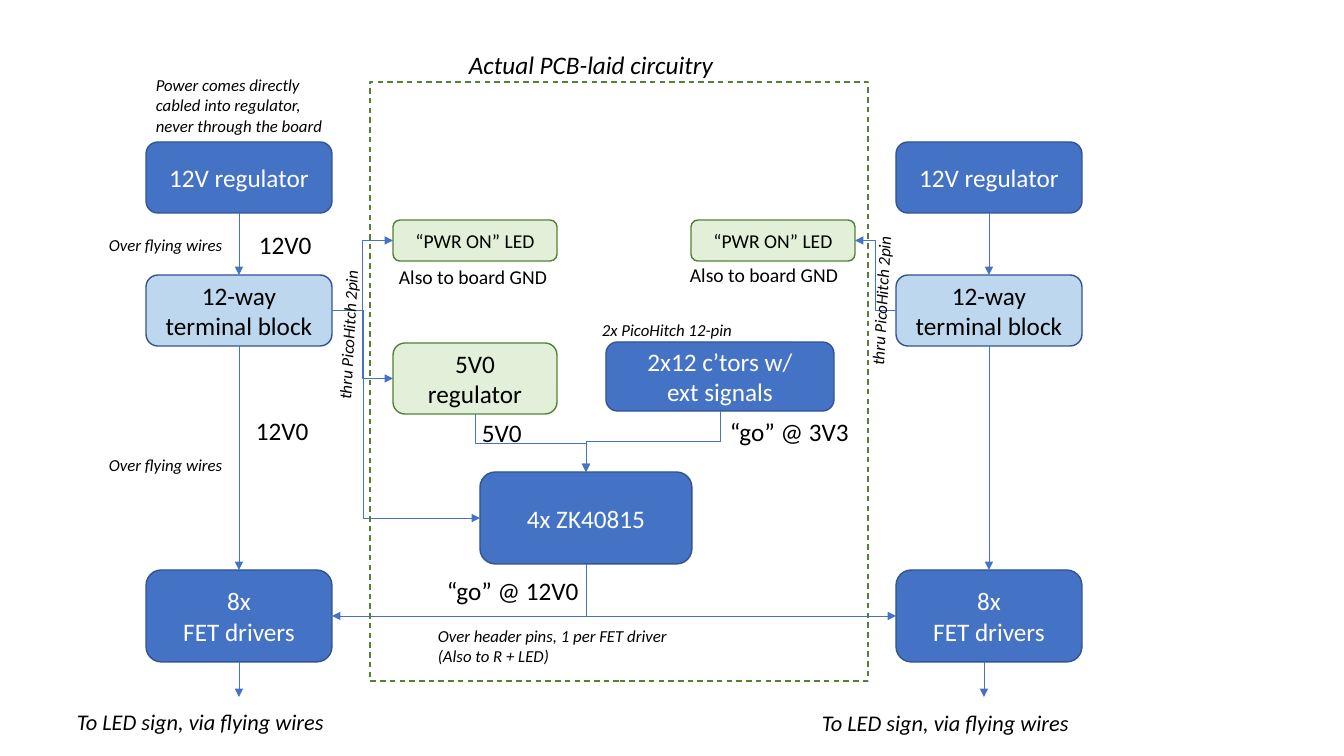
"""Build the block diagram of the LED sign power and driver circuitry."""
from lxml.etree import SubElement
from pptx import Presentation
from pptx.dml.color import RGBColor
from pptx.enum.dml import MSO_LINE
from pptx.enum.shapes import MSO_CONNECTOR as LINK, MSO_SHAPE as SHAPE
from pptx.enum.text import MSO_ANCHOR, MSO_AUTO_SIZE, PP_ALIGN
from pptx.oxml.ns import qn
from pptx.util import Pt

SCALE = 914400 / 100.8
FONT, BLACK, ARROW = "Calibri", "000000", "4472C4"
STYLES = {
    "blue": ("4472C4", "325491", "FFFFFF"),
    "pale": ("BDD7EE", "325491", BLACK),
    "green": ("E2F0D9", "548235", BLACK),
}
BOARD = (370, 82, 498, 599)
BLOCKS = {
    "left supply": ("12V regulator", "blue", 18, (146, 142, 186, 71)),
    "right supply": ("12V regulator", "blue", 18, (896, 142, 186, 71)),
    "left terminal": ("12-way terminal block", "pale", 18, (146, 275, 186, 71)),
    "right terminal": ("12-way terminal block", "pale", 18, (896, 275, 186, 71)),
    "left LED": ("“PWR ON” LED", "green", 14, (393, 220, 164, 41)),
    "right LED": ("“PWR ON” LED", "green", 14, (691, 220, 164, 41)),
    "5V0": ("5V0 regulator", "green", 18, (393, 343, 164, 71)),
    "signals": ("2x12 c’tors w/\next signals", "blue", 18, (606, 342, 228, 69)),
    "driver": ("4x ZK40815", "blue", 18, (480, 472, 212, 92)),
    "left FET": ("8x\nFET drivers", "blue", 18, (146, 570, 186, 92)),
    "right FET": ("8x\nFET drivers", "blue", 18, (896, 570, 186, 92)),
}
WIRES = [
    ("left supply", "left terminal"),
    ("right supply", "right terminal"),
    ("left terminal", "left FET"),
    ("right terminal", "right FET"),
]
SIGN_FEEDS = [(239, 662), (984, 662)]
FEED_LENGTH = 35
SIDEWAYS = [
    ("left terminal", "right", "left LED", "left", 0.5),
    ("right terminal", "left", "right LED", "right", 0.5),
    ("left terminal", "right", "5V0", "left", 0.5),
    ("left terminal", "right", "driver", "left", 0.21),
]
DOWNWARD = [
    ("5V0", "driver", "top"),
    ("signals", "driver", "top"),
    ("driver", "left FET", "right"),
    ("driver", "right FET", "left"),
]
VOLTAGES = [
    ("12V0", (246, 410, 74, 40)),
    ("5V0", (472, 412, 60, 40)),
    ("“go” @ 3V3", (720, 411, 140, 40)),
    ("“go” @ 12V0", (437, 570, 153, 40)),
]
NOTES = [
    ("12V0", 18, False, 0, (249, 224, 95, 40)),
    ("Also to board GND", 14, False, 0, (389, 260, 183, 34)),
    ("Also to board GND", 14, False, 0, (680, 258, 183, 34)),
    ("Power comes directly cabled into regulator, never through the board",
     12, True, 0, (146, 70, 205, 71)),
    ("Over flying wires", 12, True, 0, (99, 230, 205, 30)),
    ("Over flying wires", 12, True, 0, (99, 450, 205, 30)),
    ("thru PicoHitch 2pin", 12, True, 273.1, (247, 292, 205, 30)),
    ("thru PicoHitch 2pin", 12, True, 273.1, (780, 258, 205, 30)),
    ("Over header pins, 1 per FET driver\n(Also to R + LED)",
     12, True, 0, (428, 621, 272, 50)),
    ("2x PicoHitch 12-pin", 12, True, 0, (592, 315, 272, 30)),
    ("Actual PCB-laid circuitry", 18, True, 0, (459, 44, 350, 40)),
    ("To LED sign, via flying wires", 16, True, 0, (67, 703, 302, 37)),
    ("To LED sign, via flying wires", 16, True, 0, (812, 704, 302, 37)),
]


def px(*lengths):
    return [round(length * SCALE) for length in lengths]


def color(code):
    return RGBColor.from_string(code)


def apply(target, formats):
    for name, value in formats.items():
        setattr(target, name, value)


def write(frame, text, size, ink, align=PP_ALIGN.LEFT, italic=False):
    frame.text = text
    for paragraph in frame.paragraphs:
        paragraph.alignment = align
        apply(paragraph.runs[0].font, {"name": FONT, "size": Pt(size), "italic": italic})
        paragraph.runs[0].font.color.rgb = color(ink)


def outlined(preset, place, edge):
    shape = slide.shapes.add_shape(preset, *px(*place))
    shape.shadow.inherit = False
    shape.line.color.rgb = color(edge)
    shape.line.width = Pt(1)
    return shape


def block(text, style, size, place):
    fill, edge, ink = STYLES[style]
    shape = outlined(SHAPE.ROUNDED_RECTANGLE, place, edge)
    shape.fill.solid()
    shape.fill.fore_color.rgb = color(fill)
    apply(shape.text_frame, {"word_wrap": True, "vertical_anchor": MSO_ANCHOR.MIDDLE})
    write(shape.text_frame, text, size, ink, PP_ALIGN.CENTER)


def label(text, size, italic, turn, place, wrap=True):
    box = slide.shapes.add_textbox(*px(*place))
    box.rotation = turn
    apply(box.text_frame, {"word_wrap": wrap, "auto_size": MSO_AUTO_SIZE.SHAPE_TO_FIT_TEXT})
    write(box.text_frame, text, size, BLACK, italic=italic)


def site(name, side):
    left, top, width, height = BLOCKS[name][-1]
    return {
        "left": (left, top + height / 2),
        "right": (left + width, top + height / 2),
        "top": (left + width / 2, top),
        "bottom": (left + width / 2, top + height),
    }[side]


def arrow(kind, start, end):
    link = slide.shapes.add_connector(kind, *px(*start, *end))
    link.line.color.rgb = color(ARROW)
    link.line.width = Pt(0.5)
    properties = link._element.spPr
    SubElement(properties.find(qn("a:ln")), qn("a:tailEnd"), type="triangle")
    SubElement(properties, qn("a:effectLst"))
    return properties


def sideways(start, end, bend):
    guides = arrow(LINK.ELBOW, start, end).find(qn("a:prstGeom")).find(qn("a:avLst"))
    SubElement(guides, qn("a:gd"), name="adj1", fmla=f"val {round(bend * 100000)}")


def downward(start, end, preset):
    (x1, y1), (x2, y2) = start, end
    x, y, across, down = (x1 + x2) / 2, (y1 + y2) / 2, (x2 - x1) / 2, (y2 - y1) / 2
    properties = arrow(LINK.ELBOW, (x - down, y + across), (x + down, y - across))
    properties.find(qn("a:xfrm")).set("rot", str(90 * 60000))
    properties.find(qn("a:prstGeom")).set("prst", preset)


deck = Presentation()
deck.slide_width, deck.slide_height = px(1344, 756)
slide = deck.slides.add_slide(deck.slide_layouts[6])

for details in BLOCKS.values():
    block(*details)
for source, target in WIRES:
    arrow(LINK.STRAIGHT, site(source, "bottom"), site(target, "top"))
for x, y in SIGN_FEEDS:
    arrow(LINK.STRAIGHT, (x, y), (x, y + FEED_LENGTH))
for source, leaving, target, entering, bend in SIDEWAYS:
    sideways(site(source, leaving), site(target, entering), bend)
for source, target, entering in DOWNWARD:
    preset = "bentConnector3" if entering == "top" else "bentConnector2"
    downward(site(source, "bottom"), site(target, entering), preset)
for text, place in VOLTAGES:
    label(text, 18, False, 0, place, wrap=False)
for note in NOTES:
    label(*note)
board = outlined(SHAPE.RECTANGLE, BOARD, "548235")
board.fill.background()
board.line.dash_style = MSO_LINE.DASH

deck.save("out.pptx")
